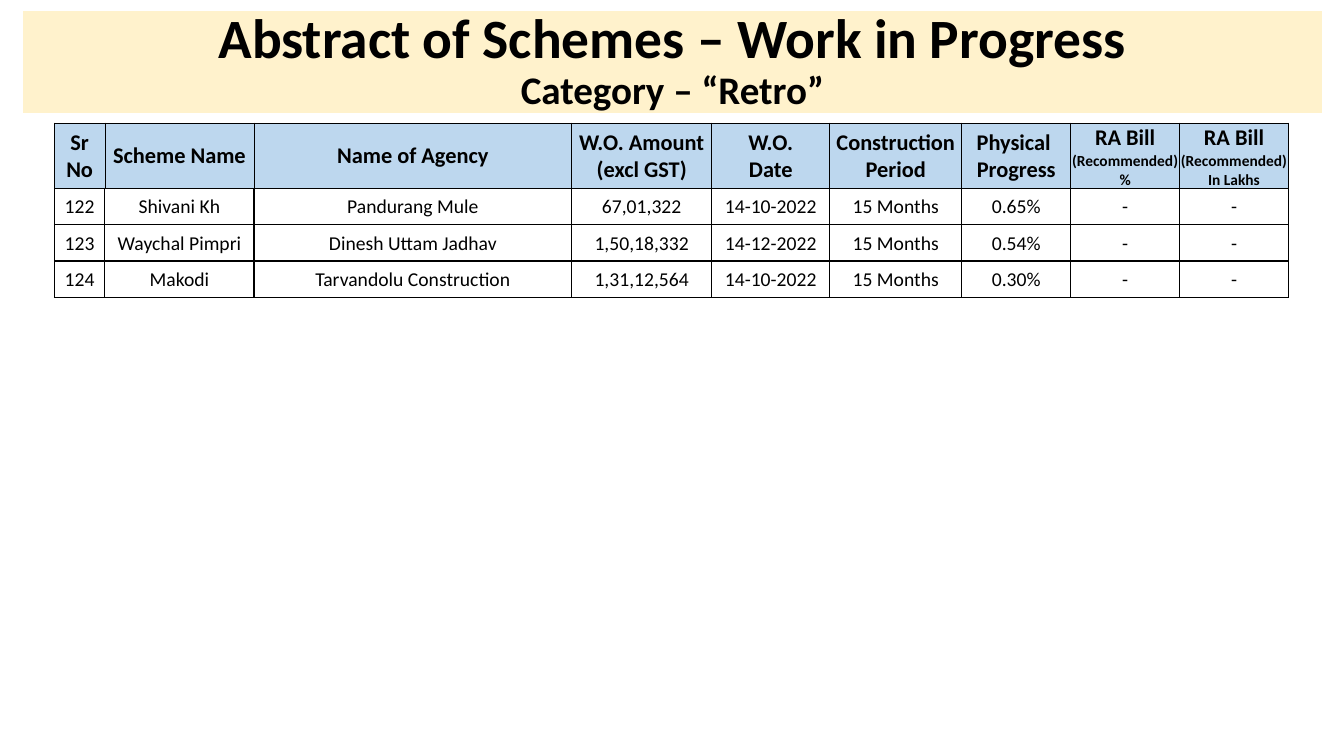
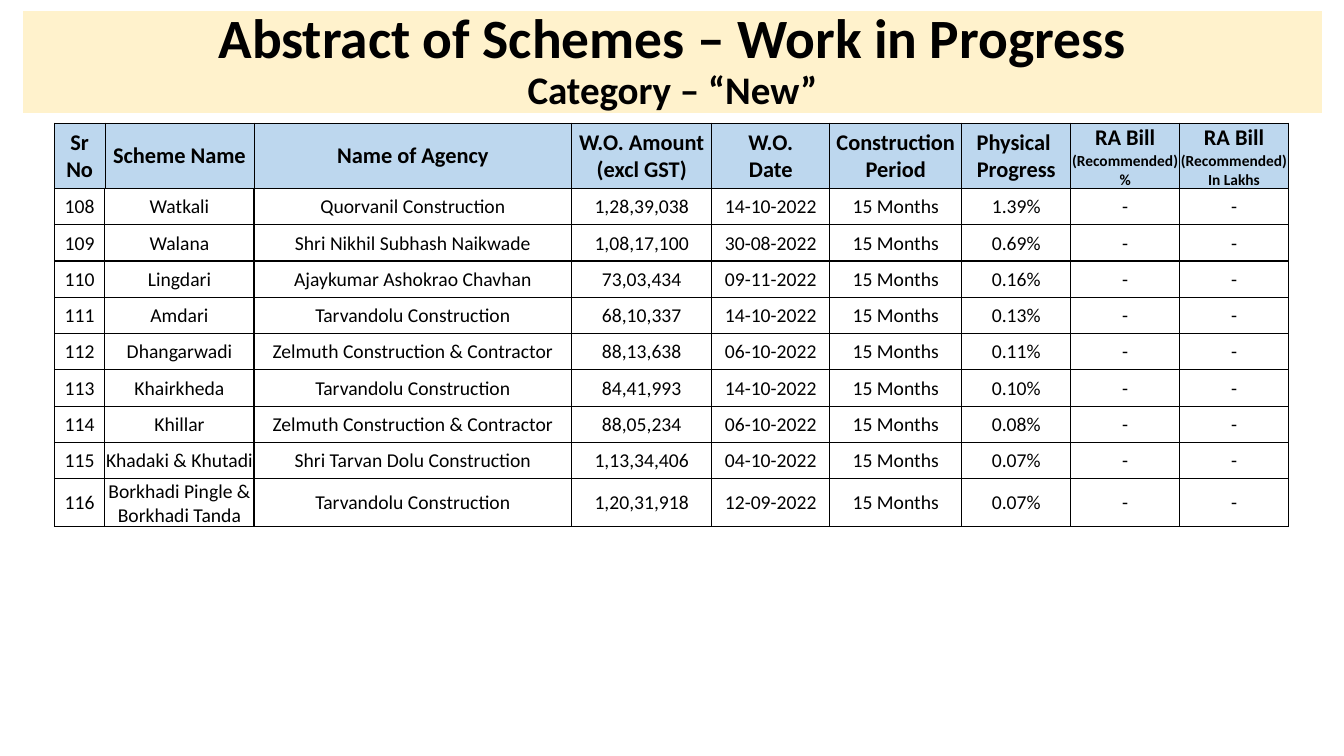
import pptx
import pptx.dml.color
import pptx.enum.text
import pptx.oxml
import pptx.oxml.ns
import pptx.util

Inches, Pt = pptx.util.Inches, pptx.util.Pt
ALIGN, ANCHOR = pptx.enum.text.PP_ALIGN, pptx.enum.text.MSO_ANCHOR

BAND, HEADER, INK = "FFF2CC", "BDD7EE", "000000"
FONT = "Calibri"
LEFT, HEADER_TOP, HEADER_H, ROW_H = 0.54, 1.22, 0.65, 0.36
COL_WIDTHS = [0.5, 1.48, 3.15, 1.39, 1.17, 1.31, 1.08, 1.08, 1.08]

# Each cell is a list of paragraphs, each paragraph a (text, size) pair.
HEADINGS = [
    [("Sr No", 16)],
    [("Scheme Name", 16)],
    [("Name of Agency", 16)],
    [("W.O. Amount\v(excl GST)", 16)],
    [("W.O.\vDate", 16)],
    [("Construction\vPeriod", 16)],
    [("Physical ", 16), ("Progress", 16)],
    [("RA Bill", 16), ("(Recommended)", 11), ("%", 11)],
    [("RA Bill", 16), ("(Recommended)", 11), ("In Lakhs", 11)],
]

# Category, first serial number, schemes
SLIDES = [
    ("Retro", 122, [
        ("Shivani Kh", "Pandurang Mule", "67,01,322", "14-10-2022", "0.65%"),
        ("Waychal Pimpri", "Dinesh Uttam Jadhav", "1,50,18,332", "14-12-2022", "0.54%"),
        ("Makodi", "Tarvandolu Construction", "1,31,12,564", "14-10-2022", "0.30%"),
    ]),
    ("New", 108, [
        ("Watkali", "Quorvanil Construction", "1,28,39,038", "14-10-2022", "1.39%"),
        ("Walana", "Shri Nikhil Subhash Naikwade", "1,08,17,100", "30-08-2022", "0.69%"),
        ("Lingdari", "Ajaykumar Ashokrao Chavhan", "73,03,434", "09-11-2022", "0.16%"),
        ("Amdari", "Tarvandolu Construction", "68,10,337", "14-10-2022", "0.13%"),
        ("Dhangarwadi", "Zelmuth Construction & Contractor", "88,13,638", "06-10-2022", "0.11%"),
        ("Khairkheda", "Tarvandolu Construction", "84,41,993", "14-10-2022", "0.10%"),
        ("Khillar", "Zelmuth Construction & Contractor", "88,05,234", "06-10-2022", "0.08%"),
        ("Khadaki & Khutadi", "Shri Tarvan Dolu Construction", "1,13,34,406", "04-10-2022", "0.07%"),
        ("Borkhadi Pingle & Borkhadi Tanda", "Tarvandolu Construction", "1,20,31,918", "12-09-2022", "0.07%"),
    ]),
]


def add_run(p, text, size, bold):
    """Add text to a centred paragraph; a vertical tab marks a line break."""
    p.alignment = ALIGN.CENTER
    for i, line in enumerate(text.split("\v")):
        if i:
            p.add_line_break()
        r = p.add_run()
        r.text = line
        r.font.name = FONT
        r.font.size = Pt(size)
        r.font.bold = bold
        r.font.color.rgb = pptx.dml.color.RGBColor.from_string(INK)


def add_grid(s, top, row_h, rows, bold, fill, widths):
    """Add a bordered table; widths are the left, right, top and bottom line widths."""
    tbl = s.shapes.add_table(len(rows), len(COL_WIDTHS), Inches(LEFT), Inches(top),
                             Inches(sum(COL_WIDTHS)), Inches(row_h * len(rows))).table
    tbl.first_row = tbl.horz_banding = False
    for column, width in zip(tbl.columns, COL_WIDTHS):
        column.width = Inches(width)
    for i, row in enumerate(rows):
        tbl.rows[i].height = Inches(row_h)
        for j, paragraphs in enumerate(row):
            cell = tbl.cell(i, j)
            cell.margin_left = cell.margin_right = cell.margin_top = Inches(0.01)
            cell.margin_bottom = 0
            cell.vertical_anchor = ANCHOR.MIDDLE
            tf = cell.text_frame
            for k, (text, size) in enumerate(paragraphs):
                add_run(tf.add_paragraph() if k else tf.paragraphs[0], text, size, bold)
            for side, width in zip("LRTB", widths):
                cell._tc.get_or_add_tcPr().append(pptx.oxml.parse_xml(
                    f'<a:ln{side} {pptx.oxml.ns.nsdecls("a")} w="{Pt(width)}">'
                    f'<a:solidFill><a:srgbClr val="{INK}"/></a:solidFill></a:ln{side}>'))
            if fill:
                cell.fill.solid()
                cell.fill.fore_color.rgb = pptx.dml.color.RGBColor.from_string(fill)
            else:
                cell.fill.background()


prs = pptx.Presentation()
prs.slide_width, prs.slide_height = Inches(13.33), Inches(7.5)

for category, first_no, schemes in SLIDES:
    s = prs.slides.add_slide(prs.slide_layouts[6])

    title = s.shapes.add_textbox(Inches(0.23), Inches(0.11), Inches(12.88), Inches(1.01))
    title.fill.solid()
    title.fill.fore_color.rgb = pptx.dml.color.RGBColor.from_string(BAND)
    tf = title.text_frame
    tf.word_wrap = True
    tf.vertical_anchor = ANCHOR.MIDDLE
    p = tf.paragraphs[0]
    p.line_spacing = 0.9
    add_run(p, "Abstract of Schemes – Work in Progress", 39.6, True)
    p.add_line_break()
    add_run(p, f"Category – “{category}”", 27.9, True)

    rows = []
    for number, (scheme, agency, amount, date, progress) in enumerate(schemes, first_no):
        values = [str(number), scheme, agency, amount, date, "15 Months", progress, "-", "-"]
        rows.append([[(value, 14)] for value in values])
    add_grid(s, HEADER_TOP, HEADER_H, [HEADINGS], True, HEADER, [0.5, 0.5, 0.5, 1])
    add_grid(s, HEADER_TOP + HEADER_H, ROW_H, rows, False, None, [1, 1, 1, 1])

prs.save("out.pptx")
